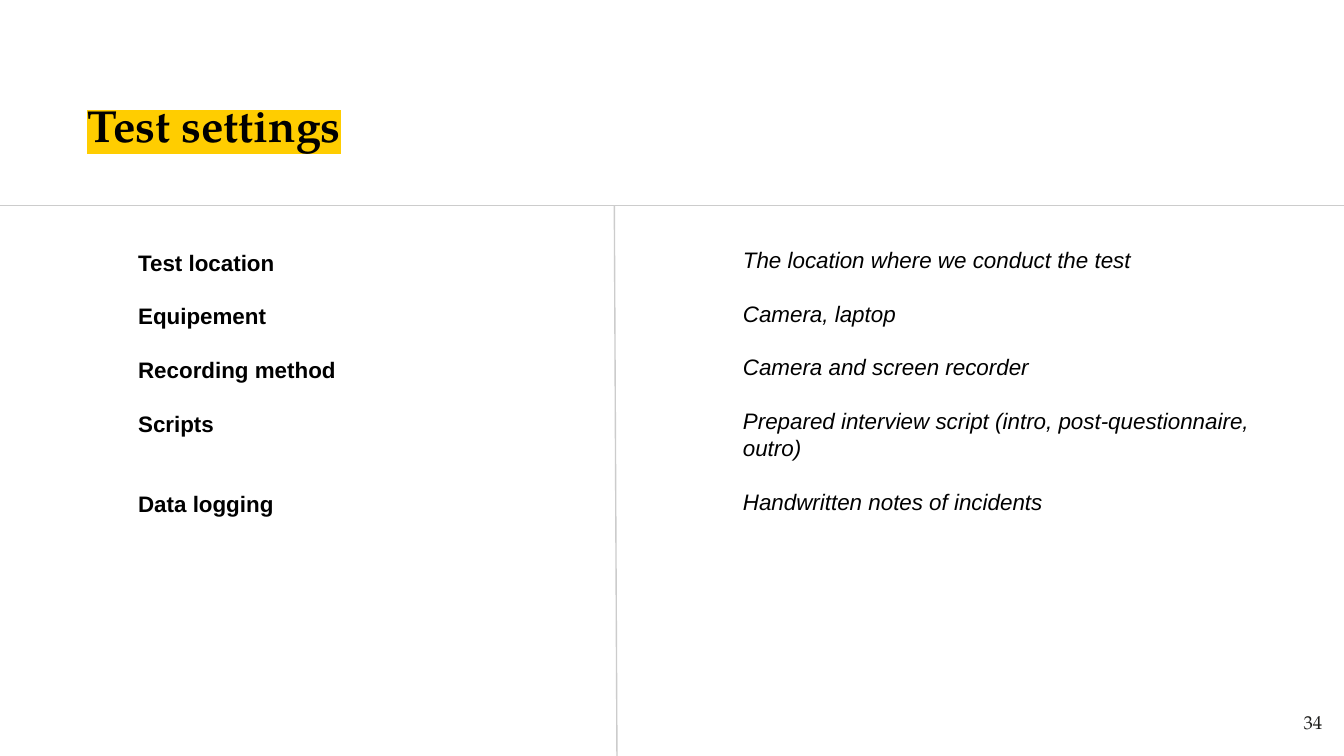
from pptx import Presentation
from pptx.dml.color import RGBColor
from pptx.enum.shapes import MSO_CONNECTOR as CONN
from pptx.enum.text import MSO_ANCHOR as ANCHOR, MSO_AUTO_SIZE as AUTO, PP_ALIGN as ALIGN
from pptx.oxml.ns import qn
from pptx.util import Cm, Pt
from lxml.etree import SubElement

BLACK = RGBColor(0x00, 0x00, 0x00)
CHARCOAL = RGBColor(0x1D, 0x1D, 0x1B)
GREY = RGBColor(0xCC, 0xCC, 0xCC)
YELLOW = RGBColor(0xFF, 0xCD, 0x00)
SERIF, SANS = "TeX Gyre Pagella", "Arial"
LINE = 14.4  # height of one line of list text, in points

LABELS = ["Test location", "Equipement", "Recording method", "Scripts", "Data logging"]
DETAILS = [
    "The location where we conduct the test",
    "Camera, laptop",
    "Camera and screen recorder",
    "Prepared interview script (intro, post-questionnaire, outro)",
    "Handwritten notes of incidents",
]


def write(p, text, size=12, font=SANS, color=BLACK, bold=False, italic=False,
          highlight=None, align=ALIGN.LEFT):
    """Add one formatted run to a paragraph."""
    p.alignment = align
    r = p.add_run()
    r.text = text
    r.font.size, r.font.bold, r.font.italic = Pt(size), bold, italic
    r.font.color.rgb = color
    if highlight is not None:
        mark = SubElement(r._r.get_or_add_rPr(), qn("a:highlight"))
        SubElement(mark, qn("a:srgbClr")).set("val", str(highlight))
    r.font.name = font


def set_frame(sp, box, pad_y, anchor=ANCHOR.TOP):
    """Place a text shape and return its prepared text frame."""
    sp.left, sp.top, sp.width, sp.height = (Cm(v) for v in box)
    tf = sp.text_frame
    tf.word_wrap, tf.auto_size, tf.vertical_anchor = True, AUTO.NONE, anchor
    tf.margin_left = tf.margin_right = Cm(0.25)
    tf.margin_top = tf.margin_bottom = Cm(pad_y)
    return tf


def add_list(sp, box, items, extra_lines=(), **style):
    """Fill a body placeholder; extra_lines names items with one more line above."""
    tf = set_frame(sp, box, 0.13)
    for i, item in enumerate(items):
        p = tf.paragraphs[0] if i == 0 else tf.add_paragraph()
        pPr = p._p.get_or_add_pPr()
        pPr.set("marL", str(Cm(1.27)))
        pPr.set("indent", "0")
        SubElement(pPr, qn("a:buNone"))
        p.line_spacing = Pt(LINE)
        gap = 0 if i == 0 else 2 if item in extra_lines else 1
        p.space_before = Pt(gap * LINE)
        write(p, item, **style)


def add_rule(s, x1, y1, x2, y2):
    """Draw a thin grey divider."""
    rule = s.shapes.add_connector(CONN.STRAIGHT, Cm(x1), Cm(y1), Cm(x2), Cm(y2))
    rule.line.color.rgb, rule.line.width = GREY, Pt(0.75)
    SubElement(rule._element.spPr, qn("a:effectLst"))


def main():
    prs = Presentation()
    prs.slide_width, prs.slide_height = Cm(25.4), Cm(14.29)
    s = prs.slides.add_slide(prs.slide_layouts[3])
    title, left, right = s.placeholders

    # Title
    tf = set_frame(title, (1.4, 0.74, 22.6, 3.22), 0.25, ANCHOR.MIDDLE)
    write(tf.paragraphs[0], "Test settings", size=24, font=SERIF, bold=True,
          highlight=YELLOW)

    # Dividers
    add_rule(s, -0.03, 3.89, 25.43, 3.89)
    add_rule(s, 11.66, 14.33, 11.61, 3.89)

    # Setting names and their descriptions
    add_list(left, (1.09, 4.57, 7.7, 9.2), LABELS, extra_lines=["Data logging"], bold=True)
    add_list(right, (12.52, 4.52, 11.86, 9.2), DETAILS, italic=True)

    # Page number
    number = s.shapes.add_textbox(0, 0, 0, 0)
    tf = set_frame(number, (23.72, 13.18, 1.52, 1.09), 0.25)
    write(tf.paragraphs[0], "34", size=10, font=SERIF, color=CHARCOAL, align=ALIGN.RIGHT)

    prs.save("out.pptx")


if __name__ == "__main__":
    main()
